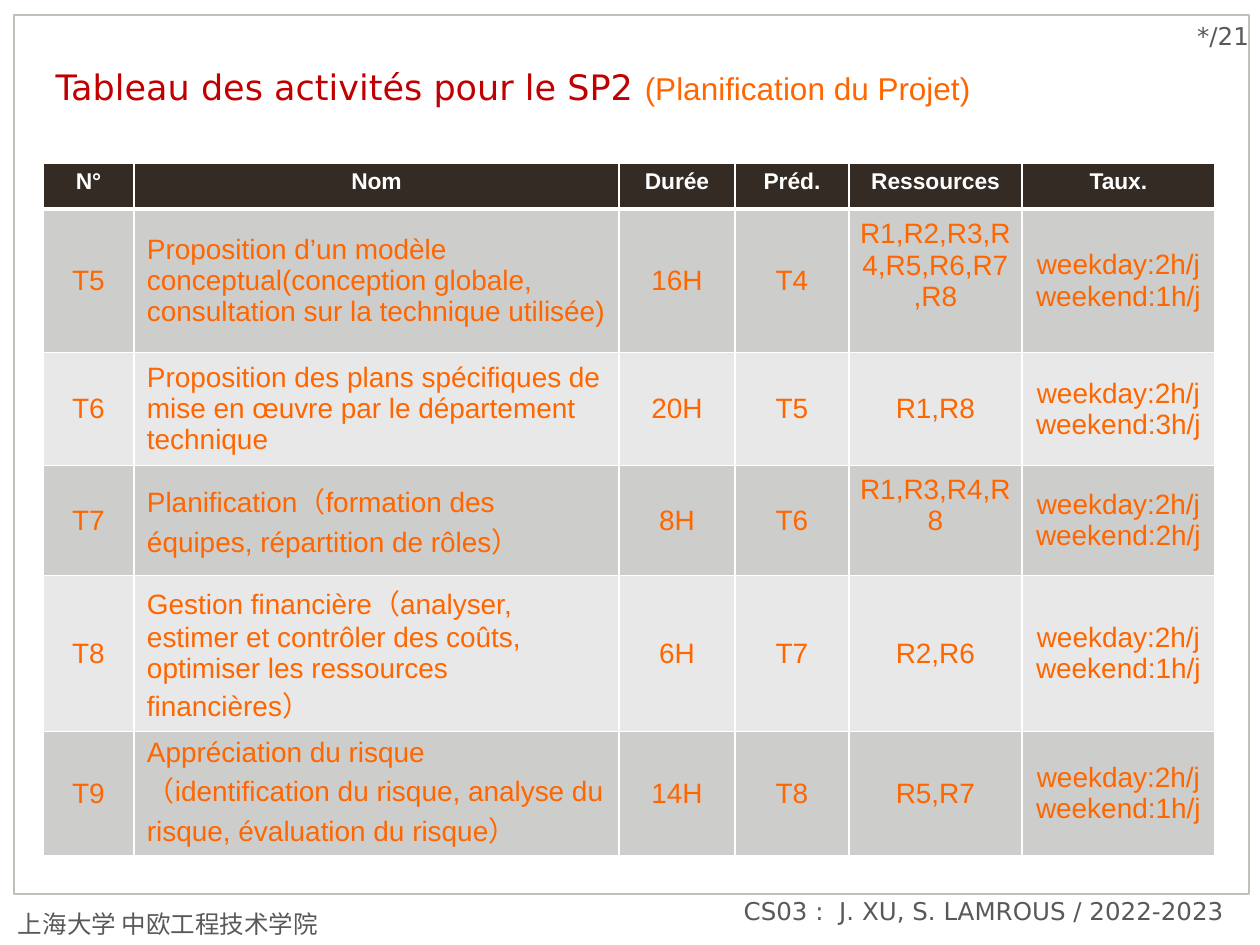
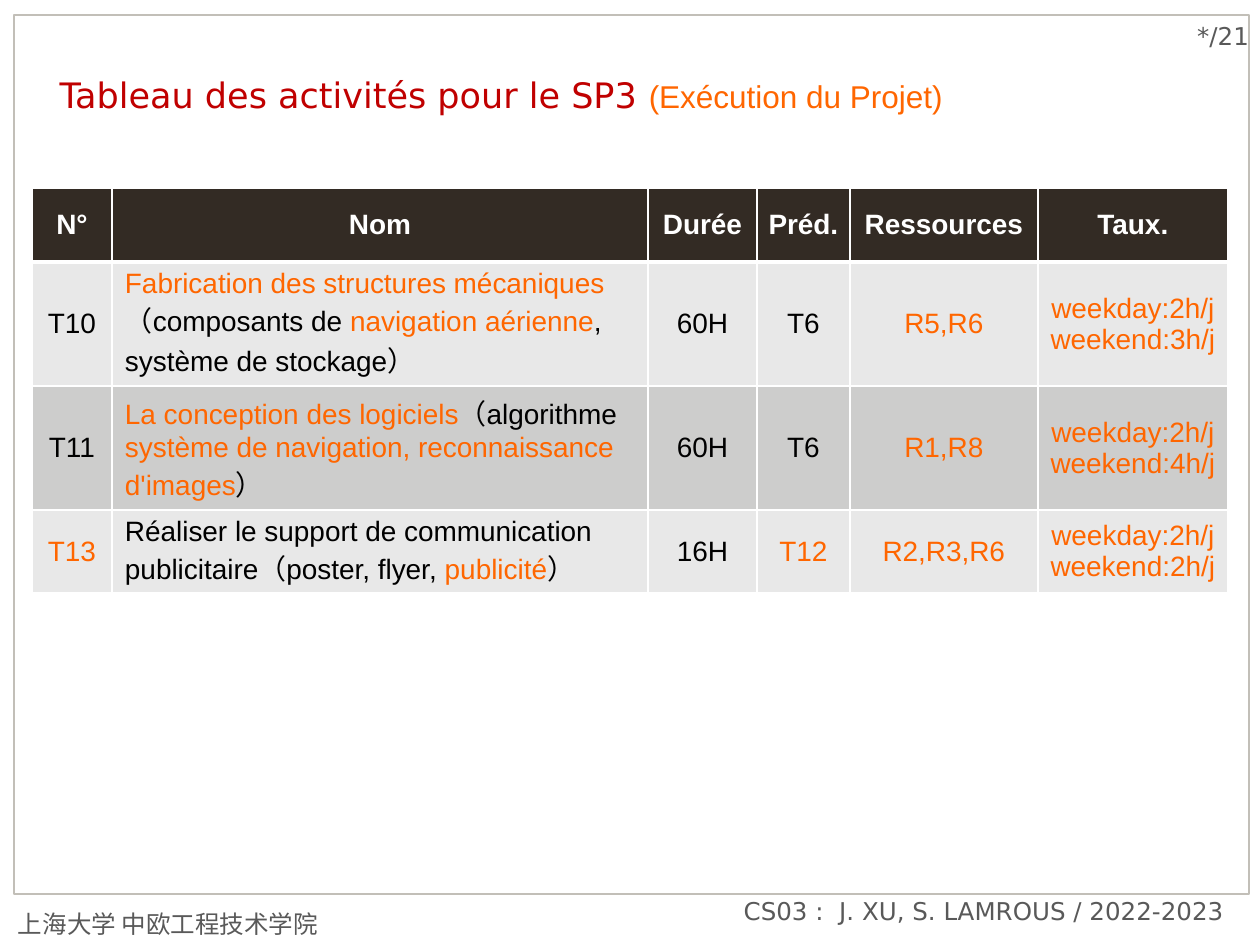
import pptx
import pptx.dml.color
import pptx.enum.shapes
import pptx.enum.text
import pptx.oxml.ns
import pptx.util
from lxml import etree

RGBColor = pptx.dml.color.RGBColor
Align = pptx.enum.text.PP_ALIGN
Anchor = pptx.enum.text.MSO_ANCHOR

PX_PER_INCH = 126
SLIDE_WIDTH, SLIDE_HEIGHT = 1260, 945

WHITE = RGBColor(0xFF, 0xFF, 0xFF)
BLACK = RGBColor(0x00, 0x00, 0x00)
RED = RGBColor(0xC0, 0x00, 0x00)
ORANGE = RGBColor(0xFF, 0x66, 0x00)
GREY_TEXT = RGBColor(0x59, 0x59, 0x59)
FRAME_GREY = RGBColor(0xC2, 0xBF, 0xB8)
HEADER_BROWN = RGBColor(0x33, 0x2B, 0x24)
BAND_DARK = RGBColor(0xCD, 0xCD, 0xCC)
BAND_LIGHT = RGBColor(0xE8, 0xE8, 0xE8)

TITLE_FONT = "DejaVu Sans"
BODY_FONT = "Arial"
BODY_SIZE = 16

HEADINGS = ["N°", "Nom", "Durée", "Préd.", "Ressources", "Taux."]
NAME_COLUMN, RESOURCES_COLUMN = 1, 4
BLANK_LINE = 31  # height of one line of body text

# Number, name, duration, predecessor, resources, weekend hours per day.
PLANNING_TASKS = [
    ("T5", "Proposition d’un modèle conceptual(conception globale, "
     "consultation sur la technique utilisée)", "16H", "T4",
     "R1,R2,R3,R4,R5,R6,R7,R8", 1),
    ("T6", "Proposition des plans spécifiques de mise en œuvre par le "
     "département technique", "20H", "T5", "R1,R8", 3),
    ("T7", "Planification（formation des équipes, répartition de rôles）",
     "8H", "T6", "R1,R3,R4,R8", 2),
    ("T8", "Gestion financière（analyser, estimer et contrôler des coûts, "
     "optimiser les ressources financières）", "6H", "T7", "R2,R6", 1),
    ("T9", "Appréciation du risque（identification du risque, analyse du "
     "risque, évaluation du risque）", "14H", "T8", "R5,R7", 1),
]

# Text between asterisks is orange.
EXECUTION_TASKS = [
    ("T10", "*Fabrication des structures mécaniques*（composants de "
     "*navigation aérienne*, système de stockage）", "60H", "T6", "R5,R6", 3),
    ("T11", "*La conception des logiciels*（algorithme *système de navigation, "
     "reconnaissance d'images*）", "60H", "T6", "R1,R8", 4),
    ("*T13*", "Réaliser le support de communication publicitaire（poster, "
     "flyer, *publicité*）", "16H", "*T12*", "R2,R3,R6", 2),
]


def px(length):
    return pptx.util.Emu(round(length * 914400 / PX_PER_INCH))


def add_run(paragraph, text, font_name, size, color, bold=False):
    run = paragraph.add_run()
    run.text = text
    run.font.name = font_name
    run.font.size = pptx.util.Pt(size)
    run.font.color.rgb = color
    run.font.bold = bold


def add_label(slide, text, left, top, width, height, align, inset_left=13, inset_right=13):
    box = slide.shapes.add_textbox(px(left), px(top), px(width), px(height))
    frame = box.text_frame
    frame.word_wrap = True
    frame.margin_left, frame.margin_right = px(inset_left), px(inset_right)
    frame.margin_top = frame.margin_bottom = px(6)
    paragraph = frame.paragraphs[0]
    paragraph.alignment = align
    add_run(paragraph, text, TITLE_FONT, 14, GREY_TEXT)


def add_frame_and_footers(slide):
    border = slide.shapes.add_shape(
        pptx.enum.shapes.MSO_SHAPE.RECTANGLE, px(14), px(15), px(1235), px(879))
    border.shadow.inherit = False
    border.fill.background()
    border.line.color.rgb = FRAME_GREY
    border.line.width = pptx.util.Pt(1.5)
    add_label(slide, "*/21", 1108, 15, 141, 43, Align.RIGHT, inset_right=0)
    add_label(slide, "上海大学 中欧工程技术学院", 0, 903, 363, 42, Align.LEFT, inset_left=18)
    add_label(slide, "CS03 :  J. XU, S. LAMROUS / 2022-2023", 365, 890, 872, 50, Align.RIGHT)


def set_title(slide, text, phase, left, top):
    title = slide.shapes.title
    title.left, title.top, title.width, title.height = px(left), px(top), px(1131), px(80)
    frame = title.text_frame
    frame.auto_size = pptx.enum.text.MSO_AUTO_SIZE.NONE
    frame.vertical_anchor = Anchor.TOP
    paragraph = frame.paragraphs[0]
    paragraph.alignment = Align.LEFT
    add_run(paragraph, text, TITLE_FONT, 20, RED)
    add_run(paragraph, phase, BODY_FONT, 18, ORANGE)


def set_borders(cell, top=1, bottom=1):
    """Draw white cell borders; widths are in points."""
    properties = cell._tc.get_or_add_tcPr()
    widths = {"a:lnL": 1, "a:lnR": 1, "a:lnT": top, "a:lnB": bottom}
    for index, (tag, width) in enumerate(widths.items()):
        line = etree.Element(pptx.oxml.ns.qn(tag), w=str(pptx.util.Pt(width)))
        fill = etree.SubElement(line, pptx.oxml.ns.qn("a:solidFill"))
        etree.SubElement(fill, pptx.oxml.ns.qn("a:srgbClr"), val=str(WHITE))
        properties.insert(index, line)


def fill_cell(cell, lines, fill, color, size=BODY_SIZE, bold=False, align=Align.CENTER, inset=11):
    cell.fill.solid()
    cell.fill.fore_color.rgb = fill
    cell.vertical_anchor = Anchor.MIDDLE
    cell.margin_left = cell.margin_right = px(inset)
    cell.margin_top = cell.margin_bottom = px(6)
    frame = cell.text_frame
    for line_index, line in enumerate(lines):
        paragraph = frame.add_paragraph() if line_index else frame.paragraphs[0]
        paragraph.alignment = align
        for part_index, part in enumerate(line.split("*")):
            if part:
                part_color = ORANGE if part_index % 2 else color
                add_run(paragraph, part, BODY_FONT, size, part_color, bold)


def fill_task_row(table, row, task, band, color):
    *texts, weekend_hours = task
    cells = [[text] for text in texts]
    cells.append(["weekday:2h/j", f"weekend:{weekend_hours}h/j"])
    for column, lines in enumerate(cells):
        cell = table.cell(row, column)
        is_staffing = column >= RESOURCES_COLUMN
        fill_cell(cell, lines, band, ORANGE if is_staffing else color,
                  align=Align.LEFT if column == NAME_COLUMN else Align.CENTER,
                  inset=11 if is_staffing else 13)
        set_borders(cell, top=3 if row == 1 else 1)


def add_task_table(slide, tasks, left, top, column_widths, row_heights, bands, color, heading_size):
    table = slide.shapes.add_table(
        len(row_heights), len(column_widths), px(left), px(top),
        px(sum(column_widths)), px(sum(row_heights))).table
    for column, width in zip(table.columns, column_widths):
        column.width = px(width)
    for row, height in zip(table.rows, row_heights):
        row.height = px(height)
    for column, heading in enumerate(HEADINGS):
        cell = table.cell(0, column)
        fill_cell(cell, [heading], HEADER_BROWN, WHITE, heading_size, bold=True)
        set_borders(cell, bottom=3)
    for index, task in enumerate(tasks):
        fill_task_row(table, index + 1, task, bands[index % 2], color)
    return table


def add_content_slide(presentation):
    slide = presentation.slides.add_slide(presentation.slide_layouts.get_by_name("Title Only"))
    add_frame_and_footers(slide)
    return slide


def add_planning_slide(presentation):
    slide = add_content_slide(presentation)
    set_title(slide, "Tableau des activités pour le SP2 ", "(Planification du Projet)", 43, 59)
    table = add_task_table(
        slide, PLANNING_TASKS, 43, 163, [91, 485, 116, 114, 173, 193],
        [46, 137, 106, 104, 156, 124], [BAND_DARK, BAND_LIGHT], ORANGE, heading_size=13)
    for column in range(len(HEADINGS)):
        table.cell(0, column).vertical_anchor = Anchor.TOP
    for row in (1, 3):
        table.cell(row, RESOURCES_COLUMN).margin_bottom = px(6 + BLANK_LINE)


def add_execution_slide(presentation):
    slide = add_content_slide(presentation)
    set_title(slide, "Tableau des activités pour le SP3 ", "(Exécution du Projet)", 47, 67)
    add_task_table(
        slide, EXECUTION_TASKS, 32, 188, [80, 536, 109, 93, 188, 190],
        [74, 124, 124, 83], [BAND_LIGHT, BAND_DARK], BLACK, heading_size=BODY_SIZE)


def main():
    presentation = pptx.Presentation()
    presentation.slide_width = px(SLIDE_WIDTH)
    presentation.slide_height = px(SLIDE_HEIGHT)
    add_planning_slide(presentation)
    add_execution_slide(presentation)
    presentation.save("out.pptx")


if __name__ == "__main__":
    main()
